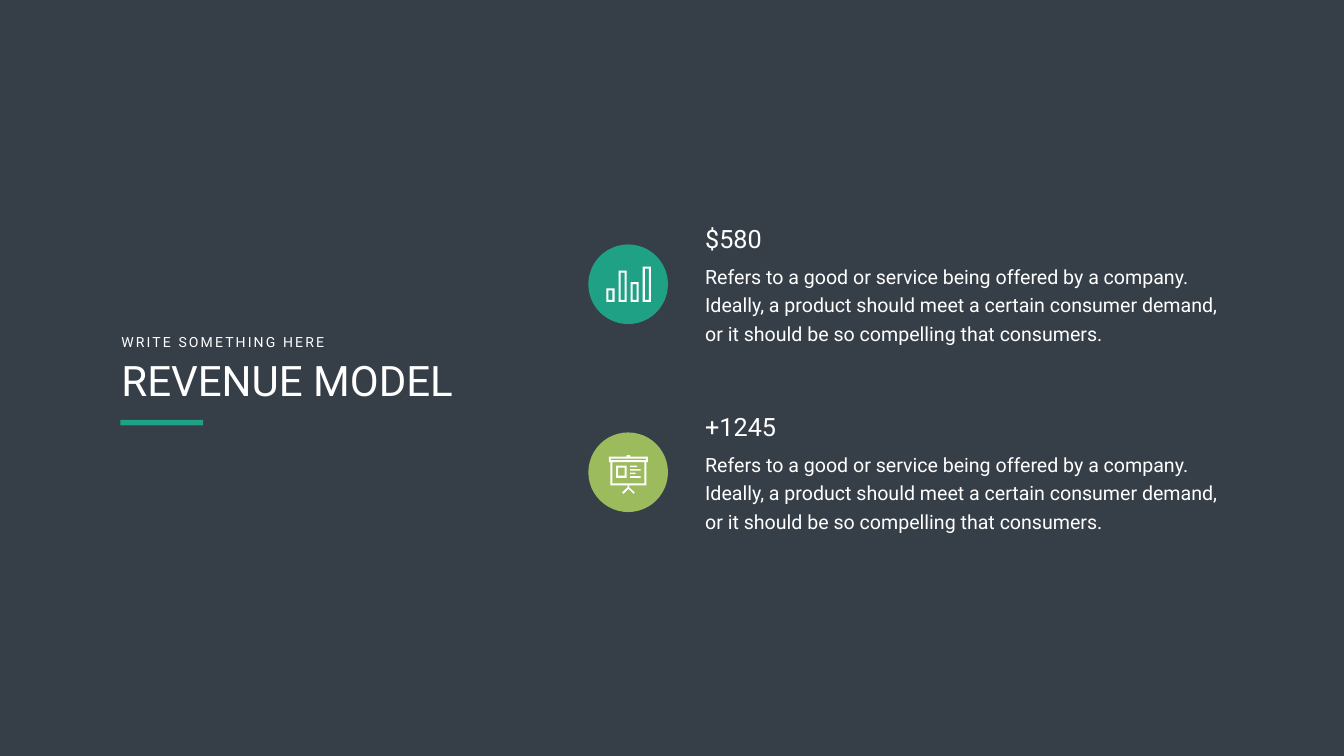
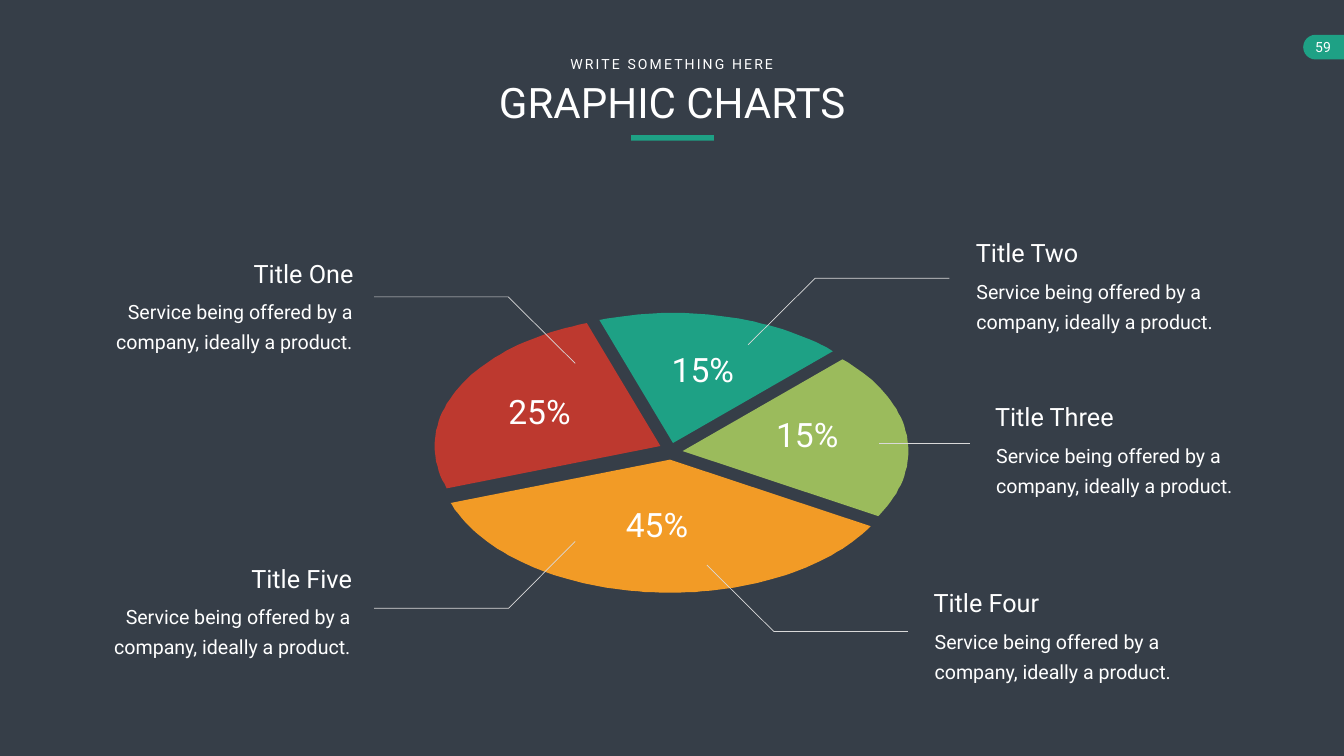
import math

from lxml import etree
from pptx import Presentation
from pptx import util as u
from pptx.dml.color import RGBColor
from pptx.enum import shapes, text
from pptx.oxml import ns

PX = 9144  # EMU; 100 px to the inch
SLIDE_SIZE = (2666, 1500)
FONT = "Roboto"

BACKGROUND = RGBColor(0x36, 0x3E, 0x48)
WHITE = RGBColor(0xFF, 0xFF, 0xFF)
TEAL = RGBColor(0x1E, 0xA1, 0x85)
GREEN = RGBColor(0x9B, 0xBB, 0x5C)
RED = RGBColor(0xBD, 0x39, 0x2F)
ORANGE = RGBColor(0xF2, 0x9B, 0x26)
LEADER = RGBColor(0xD9, 0xD9, 0xD9)

LEFT, CENTER, RIGHT = text.PP_ALIGN.LEFT, text.PP_ALIGN.CENTER, text.PP_ALIGN.RIGHT
SHAPE = shapes.MSO_SHAPE

KICKER = "WRITE SOMETHING HERE"
OFFER = ("Refers to a good or service being offered by a company. Ideally, a product "
         "should meet a certain consumer demand, or it should be so compelling that consumers.")
SERVICE = "Service being offered by a company, ideally a product."
PAGE_NUMBER = "59"


def box_outline(left, top, right, bottom):
    return [(left, top), (right, top), (right, bottom), (left, bottom)]


def frame(left, top, right, bottom, stroke=4):
    """Outer and inner outline of a hollow rectangle."""
    return [box_outline(left, top, right, bottom),
            box_outline(left + stroke, top + stroke, right - stroke, bottom - stroke)]


# Icon outlines, measured from the top left of their circle
BAR_TOPS = [87, 52, 75, 44]
BARS_ICON = [outline for index, top in enumerate(BAR_TOPS)
             for outline in frame(36 + 24 * index, top, 52 + 24 * index, 114)]
BOARD_LINE_ENDS = [97, 104, 94, 104]
BOARD_ICON = [
    box_outline(76, 45, 83, 48),
    *frame(41, 48, 118, 59),
    box_outline(44, 59, 115, 105),
    box_outline(48, 59, 111, 101),
    *frame(55, 66, 76, 90),
    *[box_outline(83, 66 + 7 * index, end, 69 + 7 * index)
      for index, end in enumerate(BOARD_LINE_ENDS)],
    [(78, 105), (81, 105), (81, 109), (92, 119), (90, 122),
     (80, 112), (70, 122), (67, 119), (78, 109)],
]

# Heading, colour, icon, top of the row
REVENUE_ROWS = [
    ("$580", TEAL, BARS_ICON, 439),
    ("+1245", GREEN, BOARD_ICON, 812),
]

# Colour, centre, radii, start and end angle
SLICES = [
    (TEAL, (1335, 879), (448, 258), 251, 315),
    (GREEN, (1354, 895), (448, 258), 315, 390),
    (RED, (1310, 885), (448, 258), 161, 251),
    (ORANGE, (1329, 912), (460, 264), 30, 161),
]
# Share, left and top
SHARES = [("45%", 1229, 994), ("15%", 1527, 816), ("15%", 1320, 687), ("25%", 996, 771)]

# Start, elbow and end
LEADERS = [
    [(1484, 684), (1617, 552), (1883, 552)],
    [(1141, 721), (1008, 589), (742, 589)],
    [(1402, 1121), (1535, 1253), (1801, 1253)],
    [(1141, 1074), (1009, 1207), (742, 1207)],
]
STRAIGHT_LEADER = (1744, 879, 1925, 879)

# Title with its box, then left, top and width of the description
CALLOUTS = [
    ("Title Two", (1926, 466, 228, 71), (1913, 530, 524), LEFT),
    ("Title One", (489, 508, 222, 71), (184, 570, 539), RIGHT),
    ("Title Three", (1964, 792, 261, 71), (1952, 855, 524), LEFT),
    ("Title Four", (1842, 1160, 237, 71), (1830, 1224, 524), LEFT),
    ("Title Five", (481, 1112, 227, 71), (180, 1175, 539), RIGHT),
]


def scaled(values):
    return [value * PX for value in values]


def add_text(slide, words, box, size, align=LEFT, wrap=True, line=None,
             insets=(10, 5), letter_spacing=None):
    frame_ = slide.shapes.add_textbox(*scaled(box)).text_frame
    frame_.word_wrap = wrap
    frame_.auto_size = text.MSO_AUTO_SIZE.SHAPE_TO_FIT_TEXT
    frame_.margin_left = frame_.margin_right = insets[0] * PX
    frame_.margin_top = frame_.margin_bottom = insets[1] * PX
    paragraph = frame_.paragraphs[0]
    paragraph.alignment = align
    if line:
        paragraph.line_spacing = u.Pt(line)
    run = paragraph.add_run()
    run.text = words
    run.font.name = FONT
    run.font.size = u.Pt(size)
    run.font.color.rgb = WHITE
    if letter_spacing:
        run.font._element.set("spc", str(letter_spacing * 100))


def paint(shape, color):
    shape.shadow.inherit = False
    shape.fill.solid()
    shape.fill.fore_color.rgb = color
    shape.line.fill.background()


def add_block(slide, kind, box, color, rotation=0):
    shape = slide.shapes.add_shape(kind, *scaled(box))
    shape.rotation = rotation
    paint(shape, color)


def add_outlines(slide, outlines, closed=True):
    """One freeform made of all the outlines."""
    builder = slide.shapes.build_freeform(*outlines[0][0], scale=PX)
    for index, points in enumerate(outlines):
        if index:
            builder.move_to(*points[0])
        builder.add_line_segments(points[1:], close=closed)
    return builder.convert_to_shape()


def sector(center, radii, start, end, step=2):
    angles = [*range(start, end, step), end]
    return [center] + [
        (round(center[0] + radii[0] * math.cos(math.radians(angle))),
         round(center[1] + radii[1] * math.sin(math.radians(angle))))
        for angle in angles]


def style_leader(line):
    line.color.rgb = LEADER
    line.width = u.Pt(1)


def add_slide(presentation):
    slide = presentation.slides.add_slide(presentation.slide_layouts[6])
    slide.background.fill.solid()
    slide.background.fill.fore_color.rgb = BACKGROUND
    return slide


def add_heading(slide, title, title_box, kicker_left, rule_left, align):
    """Title with the kicker above it and the short rule below."""
    left, top, width = title_box
    add_block(slide, SHAPE.RECTANGLE, (rule_left, top + 121 + 14 * (align == LEFT), 164, 11), TEAL)
    add_text(slide, title, (left, top, width, 111), 60, align)
    add_text(slide, KICKER, (kicker_left, top - 42, 435, 44), 20, align,
             wrap=False, letter_spacing=3)


def add_page_number(slide):
    add_block(slide, SHAPE.FLOWCHART_DELAY, (2585, 69, 49, 49), TEAL, rotation=180)
    add_block(slide, SHAPE.RECTANGLE, (2634, 69, 32, 49), TEAL)
    add_text(slide, PAGE_NUMBER, (2579, 67, 91, 54), 20, CENTER, wrap=False, insets=(20, 10))


def build_revenue(presentation):
    slide = add_slide(presentation)
    for heading, color, icon, top in REVENUE_ROWS:
        add_text(slide, heading, (1389, top, 927, 71), 36)
        add_text(slide, OFFER, (1389, top + 71, 1047, 178), 28, line=40.8)
        circle_left, circle_top = 1167, top + 46
        add_block(slide, SHAPE.OVAL, (circle_left, circle_top, 158, 158), color)
        placed = [[(circle_left + x, circle_top + y) for x, y in outline] for outline in icon]
        paint(add_outlines(slide, placed), WHITE)
    add_heading(slide, "REVENUE MODEL", (231, 698, 718), 231, 239, LEFT)


def build_charts(presentation):
    slide = add_slide(presentation)
    add_page_number(slide)
    add_heading(slide, "GRAPHIC CHARTS", (710, 147, 1247), 1115, 1252, CENTER)
    for color, *geometry in SLICES:
        paint(add_outlines(slide, [sector(*geometry)]), color)
    for points in LEADERS:
        leader = add_outlines(slide, [points], closed=False)
        leader.shadow.inherit = False
        leader.fill.background()
        style_leader(leader.line)
    connector = slide.shapes.add_connector(shapes.MSO_CONNECTOR.STRAIGHT, *scaled(STRAIGHT_LEADER))
    style_leader(connector.line)
    etree.SubElement(connector._element.spPr, ns.qn("a:effectLst"))
    for title, title_box, (left, top, width), align in CALLOUTS:
        add_text(slide, title, title_box, 36, align, wrap=False)
        add_text(slide, SERVICE, (left, top, width, 139), 28, align, line=43, insets=(24, 12))
    for share, left, top in SHARES:
        add_text(slide, share, (left, top, 146, 91), 48, RIGHT, wrap=False)


def main():
    presentation = Presentation()
    presentation.slide_width, presentation.slide_height = scaled(SLIDE_SIZE)
    build_revenue(presentation)
    build_charts(presentation)
    presentation.save("out.pptx")


if __name__ == "__main__":
    main()
